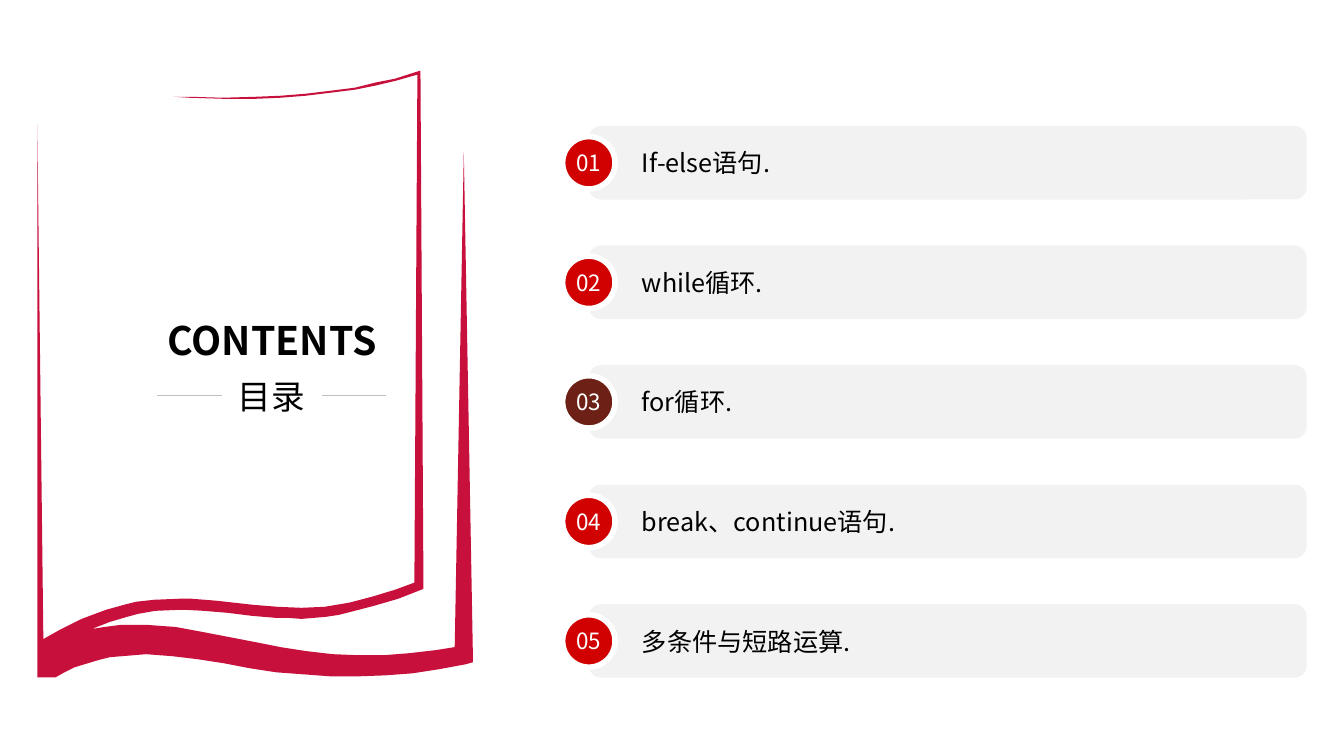
from dataclasses import dataclass

from lxml import etree
from pptx import Presentation
from pptx.dml.color import RGBColor
from pptx.enum.shapes import MSO_CONNECTOR, MSO_SHAPE
from pptx.enum.text import MSO_ANCHOR, PP_ALIGN
from pptx.oxml.ns import qn
from pptx.util import Inches, Pt

ROUND_RECT, OVAL = MSO_SHAPE.ROUNDED_RECTANGLE, MSO_SHAPE.OVAL
STRAIGHT = MSO_CONNECTOR.STRAIGHT
MIDDLE = MSO_ANCHOR.MIDDLE
LEFT, CENTER = PP_ALIGN.LEFT, PP_ALIGN.CENTER


@dataclass(frozen=True)
class Theme:
    """Font, colours and type sizes of the slide."""
    font: str = "Noto Sans CJK SC"
    book: str = "C8103D"
    badge: str = "D10001"
    current: str = "6D2016"
    bar: str = "F2F2F2"
    rule: str = "BFBFBF"
    ink: str = "000000"
    white: str = "FFFFFF"
    title: int = 28
    subtitle: int = 24
    topic: int = 18
    number: int = 16


@dataclass(frozen=True)
class Topic:
    """One line of the contents list."""
    text: str
    color: str


@dataclass(frozen=True)
class Box:
    """A rectangle in inches."""
    x: float
    y: float
    w: float
    h: float

    def emu(self) -> tuple:
        """Return left, top, width and height as lengths."""
        return tuple(Inches(v) for v in (self.x, self.y, self.w, self.h))


T = Theme()
TOPICS = [
    Topic("If-else语句.", T.badge),
    Topic("while循环.", T.badge),
    Topic("for循环.", T.current),
    Topic("break、continue语句.", T.badge),
    Topic("多条件与短路运算.", T.badge),
]
FIRST_TOP, PITCH = 1.25, 1.186
BAR_LEFT, BAR_W, BAR_H = 5.84, 7.12, 0.73
BADGE = 0.52

# Edges of the open book, in inches, in drawing order
COVER_RIGHT = [(4.17, 0.7), (4.2, 5.84)]
PAGE_UNDERSIDE = [
    (4.18, 5.85), (3.95, 5.94), (3.71, 6.01), (3.48, 6.07), (3.36, 6.1),
    (3.23, 6.12), (2.99, 6.14), (2.86, 6.13), (2.74, 6.13), (2.5, 6.11),
    (2.26, 6.08), (2.02, 6.06), (1.84, 6.05), (1.78, 6.05), (1.54, 6.06),
    (1.37, 6.09), (1.26, 6.12), (1.09, 6.17), (0.91, 6.24)]
BASE_TOP = [
    (1.04, 6.22), (1.19, 6.2), (1.32, 6.2), (1.47, 6.2), (1.6, 6.21),
    (1.74, 6.22), (2.01, 6.27), (2.27, 6.32), (2.53, 6.37), (2.78, 6.42),
    (3.04, 6.46), (3.3, 6.49), (3.55, 6.5), (3.81, 6.5), (4.06, 6.48),
    (4.32, 6.45), (4.51, 6.42)]
BACK_COVER = [(4.6, 1.51), (4.69, 6.5), (4.69, 6.57)]
BASE_BOTTOM = [
    (4.62, 6.59), (4.35, 6.64), (4.09, 6.68), (3.82, 6.7), (3.55, 6.71),
    (3.28, 6.71), (3.01, 6.69), (2.74, 6.67), (2.48, 6.63), (2.22, 6.58),
    (1.96, 6.54), (1.71, 6.51), (1.58, 6.5), (1.45, 6.49), (1.33, 6.5),
    (1.21, 6.51), (1.09, 6.52), (0.97, 6.55), (0.74, 6.62), (0.64, 6.67),
    (0.55, 6.72)]
SPINE = [(0.37, 6.72), (0.37, 1.24), (0.43, 6.34)]
PAGE_TOPSIDE = [
    (0.59, 6.25), (0.81, 6.14), (1.05, 6.05), (1.23, 6), (1.35, 5.97),
    (1.53, 5.95), (1.78, 5.94), (1.9, 5.94), (2.15, 5.96), (2.51, 6),
    (2.75, 6.02), (2.99, 6.03), (3.22, 6.02), (3.46, 5.98), (3.69, 5.92),
    (3.92, 5.85), (4.11, 5.78)]
TOP_INNER = [
    (4.14, 0.74), (3.93, 0.8), (3.72, 0.85), (3.52, 0.89), (3.28, 0.92),
    (3.03, 0.95), (2.78, 0.97), (2.54, 0.98), (2.21, 0.98), (1.88, 0.97)]
TOP_OUTER = [
    (1.72, 0.96), (1.88, 0.96), (2.21, 0.97), (2.54, 0.96), (2.78, 0.95),
    (3.03, 0.93), (3.28, 0.9), (3.52, 0.87), (3.72, 0.82), (3.92, 0.78)]
BOOK = (COVER_RIGHT + PAGE_UNDERSIDE + BASE_TOP + BACK_COVER + BASE_BOTTOM
        + SPINE + PAGE_TOPSIDE + TOP_INNER + TOP_OUTER)


def paint(sp, fill: str, line: str = "", width: float = 0) -> None:
    """Set fill and outline and drop the shadow."""
    sp.shadow.inherit = False
    sp.fill.solid()
    sp.fill.fore_color.rgb = RGBColor.from_string(fill)
    if line:
        sp.line.color.rgb = RGBColor.from_string(line)
        sp.line.width = Pt(width)
    else:
        sp.line.fill.background()


def write(sp, text: str, size: int, color: str, align=CENTER,
          wrap: bool = False, bold: bool = False) -> None:
    """Write one vertically centred run into a shape."""
    tf = sp.text_frame
    tf.word_wrap = wrap
    tf.vertical_anchor = MIDDLE
    p = tf.paragraphs[0]
    p.alignment = align
    r = p.add_run()
    r.text = text
    r.font.name = T.font
    r.font.size = Pt(size)
    r.font.bold = bold
    r.font.color.rgb = RGBColor.from_string(color)
    r.font._element.find(qn("a:latin")).addnext(
        etree.Element(qn("a:ea"), typeface=T.font))


def draw_book(s) -> None:
    """Draw the outline of the open book."""
    start, *rest = [(Inches(x), Inches(y)) for x, y in BOOK]
    builder = s.shapes.build_freeform(*start)
    builder.add_line_segments(rest, close=True)
    paint(builder.convert_to_shape(), T.book)


def draw_label(s, box: Box, text: str, size: int, bold: bool = False) -> None:
    """Draw a centred heading."""
    write(s.shapes.add_textbox(*box.emu()), text, size, T.ink, bold=bold)


def draw_rule(s, x1: float, x2: float, y: float) -> None:
    """Draw a hairline beside the subtitle."""
    c = s.shapes.add_connector(STRAIGHT, Inches(x1), Inches(y),
                               Inches(x2), Inches(y))
    c.line.color.rgb = RGBColor.from_string(T.rule)
    c.line.width = Pt(0.25)
    etree.SubElement(c._element.spPr, qn("a:effectLst"))


def draw_topic(s, index: int, topic: Topic) -> None:
    """Draw a bar with its numbered badge."""
    top = FIRST_TOP + index * PITCH
    bar = s.shapes.add_shape(
        ROUND_RECT, *Box(BAR_LEFT, top, BAR_W, BAR_H).emu())
    paint(bar, T.bar)
    bar.text_frame.margin_left = Inches(0.49)
    write(bar, topic.text, T.topic, T.ink, LEFT, wrap=True)
    badge = s.shapes.add_shape(
        OVAL, *Box(BAR_LEFT - BADGE / 2, top + (BAR_H - BADGE) / 2,
                   BADGE, BADGE).emu())
    paint(badge, topic.color, T.white, 4)
    write(badge, f"{index + 1:02d}", T.number, T.white)


def main() -> None:
    """Build and save the contents slide."""
    prs = Presentation()
    prs.slide_width, prs.slide_height = Inches(13.33), Inches(7.5)
    s = prs.slides.add_slide(prs.slide_layouts[6])
    draw_book(s)
    draw_label(s, Box(1.31, 3.06, 2.78, 0.62), "CONTENTS", T.title, bold=True)
    draw_label(s, Box(2.2, 3.68, 0.98, 0.49), "目录", T.subtitle)
    for x1, x2 in ((1.56, 2.2), (3.19, 3.83)):
        draw_rule(s, x1, x2, 3.92)
    for index, topic in enumerate(TOPICS):
        draw_topic(s, index, topic)
    prs.save("out.pptx")


main()
